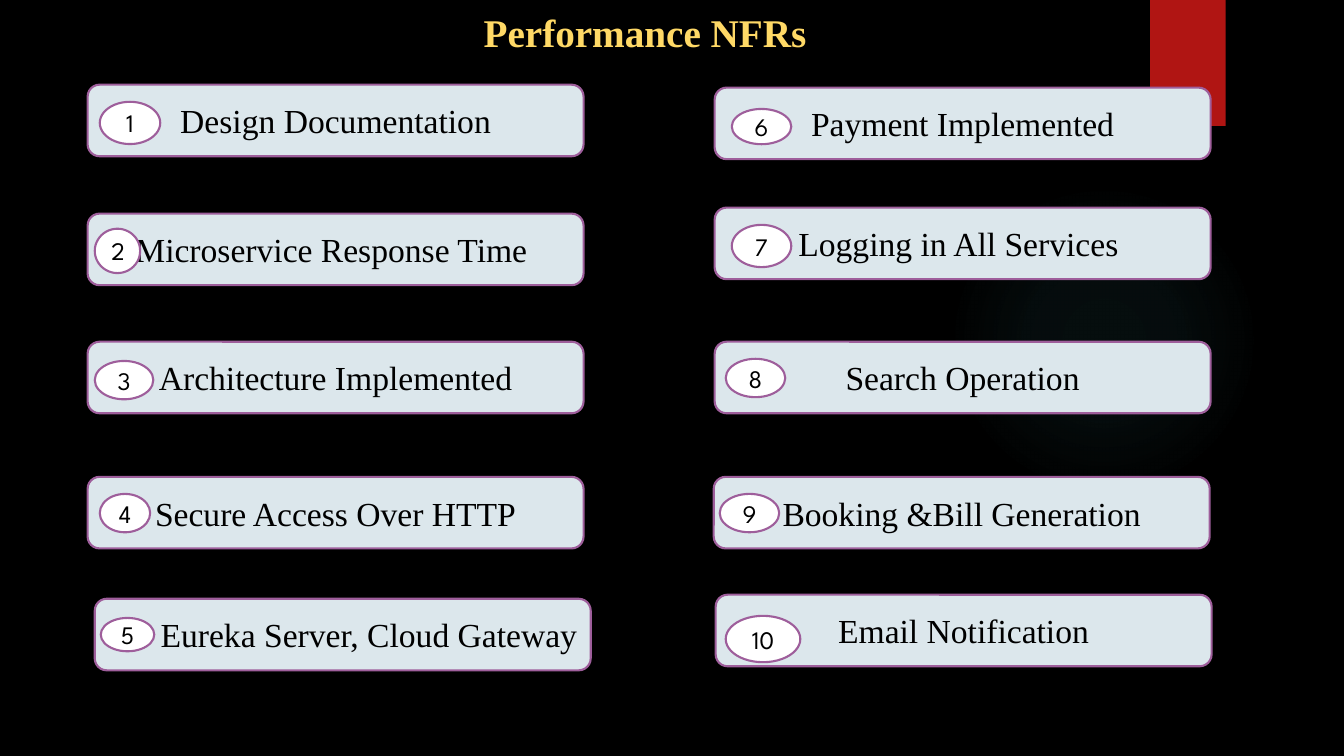
from lxml import etree
from pptx import Presentation
from pptx.dml.color import RGBColor
from pptx.enum.shapes import MSO_SHAPE as SHAPE
from pptx.enum.text import MSO_ANCHOR as ANCHOR, PP_ALIGN as ALIGN
from pptx.oxml import parse_xml
from pptx.oxml.ns import nsdecls
from pptx.util import Pt

SERIF, SANS = "Times New Roman", "League Spartan"
BLACK, WHITE, PANEL, PURPLE = "000000", "FFFFFF", "DCE7EC", "9E5E9B"
RED, GOLD, TEAL = "B01513", "FFD966", "50B9C1"
PANEL_W, PANEL_H = 354.24, 51.12

# label, panel (left, top), badge (left, top, width, height)
REQUIREMENTS = [
    ("Design Documentation", (62.6, 60.5), (71.3, 72.7, 43.2, 30.2)),
    ("Microservice Response Time ", (62.6, 152.6), (67.7, 163.4, 32.4, 31.7)),
    ("Architecture Implemented", (62.6, 244.1), (67.7, 257.8, 41.8, 27.4)),
    ("Secure Access Over HTTP", (62.6, 340.6), (71.3, 352.8, 36, 27.4)),
    ("Eureka Server, Cloud Gateway", (67.7, 427.7), (72, 441.4, 38.2, 23.8)),
    ("Payment Implemented", (510.5, 62.6), (522.7, 77.8, 42.5, 25.2)),
    ("Logging in All Services ", (510.5, 148.3), (522.7, 160.6, 42.5, 30.2)),
    ("Search Operation", (510.5, 244.1), (518.4, 256.3, 42.5, 27.4)),
    ("Booking &Bill Generation", (509.8, 340.6), (514.1, 352.8, 42.5, 27.4)),
    ("Email Notification", (511.2, 424.8), (518.4, 439.9, 53.3, 33.1)),
]
RIGHT_ALIGNED = {"Eureka Server, Cloud Gateway"}
GLOW_STOPS = [(0, 7), (36, 6), (69, 0)]  # position %, opacity %


def rgb(code):
    return RGBColor.from_string(code)


def add_text(tf, text, font, size, color=BLACK, bold=False, align=ALIGN.CENTER):
    tf.word_wrap = True
    p = tf.paragraphs[0]
    p.alignment = align
    r = p.add_run()
    r.text = text
    r.font.name, r.font.size, r.font.bold = font, Pt(size), bold
    r.font.color.rgb = rgb(color)


def add_box(s, kind, box, fill, line=None):
    sp = s.shapes.add_shape(kind, *map(Pt, box))
    sp.shadow.inherit = False
    sp.fill.solid()
    sp.fill.fore_color.rgb = rgb(fill)
    if line:
        sp.line.color.rgb = rgb(line)
        sp.line.width = Pt(1.5)
    else:
        sp.line.fill.background()
    sp.text_frame.vertical_anchor = ANCHOR.MIDDLE
    return sp


def add_glow(s, box):
    """Add a circle whose colour fades out from its centre."""
    sp = add_box(s, SHAPE.OVAL, box, TEAL)
    stops = "".join(
        f'<a:gs pos="{pos * 1000}"><a:srgbClr val="{TEAL}">'
        f'<a:alpha val="{alpha * 1000}"/></a:srgbClr></a:gs>'
        for pos, alpha in GLOW_STOPS)
    gradient = parse_xml(
        f'<a:gradFill {nsdecls("a")}><a:gsLst>{stops}</a:gsLst>'
        '<a:path path="circle"><a:fillToRect l="50000" t="50000" '
        'r="50000" b="50000"/></a:path></a:gradFill>')
    solid = sp.element.spPr.find("{*}solidFill")
    sp.element.spPr.replace(solid, gradient)


def main():
    prs = Presentation()
    prs.slide_width, prs.slide_height = Pt(960), Pt(540)
    s = prs.slides.add_slide(prs.slide_layouts[6])
    s.background.fill.solid()
    s.background.fill.fore_color.rgb = rgb(BLACK)

    add_glow(s, (677.5, 131.8, 221.8, 221.8))
    add_box(s, SHAPE.RECTANGLE, (821.5, 0, 54, 90), RED)

    for number, (label, corner, badge_box) in enumerate(REQUIREMENTS, 1):
        panel = add_box(s, SHAPE.ROUNDED_RECTANGLE,
                        (*corner, PANEL_W, PANEL_H), PANEL, PURPLE)
        align = ALIGN.RIGHT if label in RIGHT_ALIGNED else ALIGN.CENTER
        add_text(panel.text_frame, label, SERIF, 24, align=align)
        badge = add_box(s, SHAPE.OVAL, badge_box, WHITE, PURPLE)
        add_text(badge.text_frame, str(number), SANS, 18)

    title = s.shapes.add_textbox(Pt(338.4), Pt(2.2), Pt(480.2), Pt(41))
    add_text(title.text_frame, "Performance NFRs", SERIF, 28, GOLD,
             bold=True, align=ALIGN.LEFT)
    prs.save("out.pptx")


if __name__ == "__main__":
    main()
